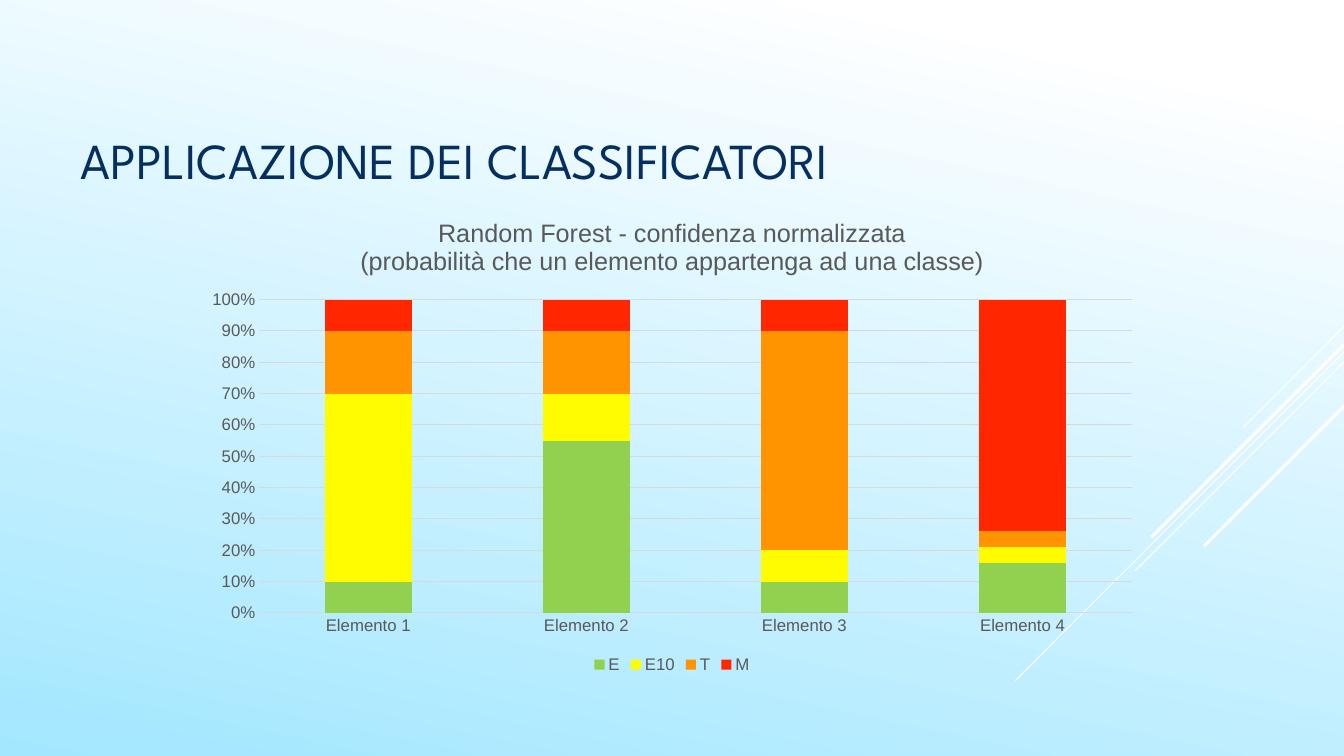
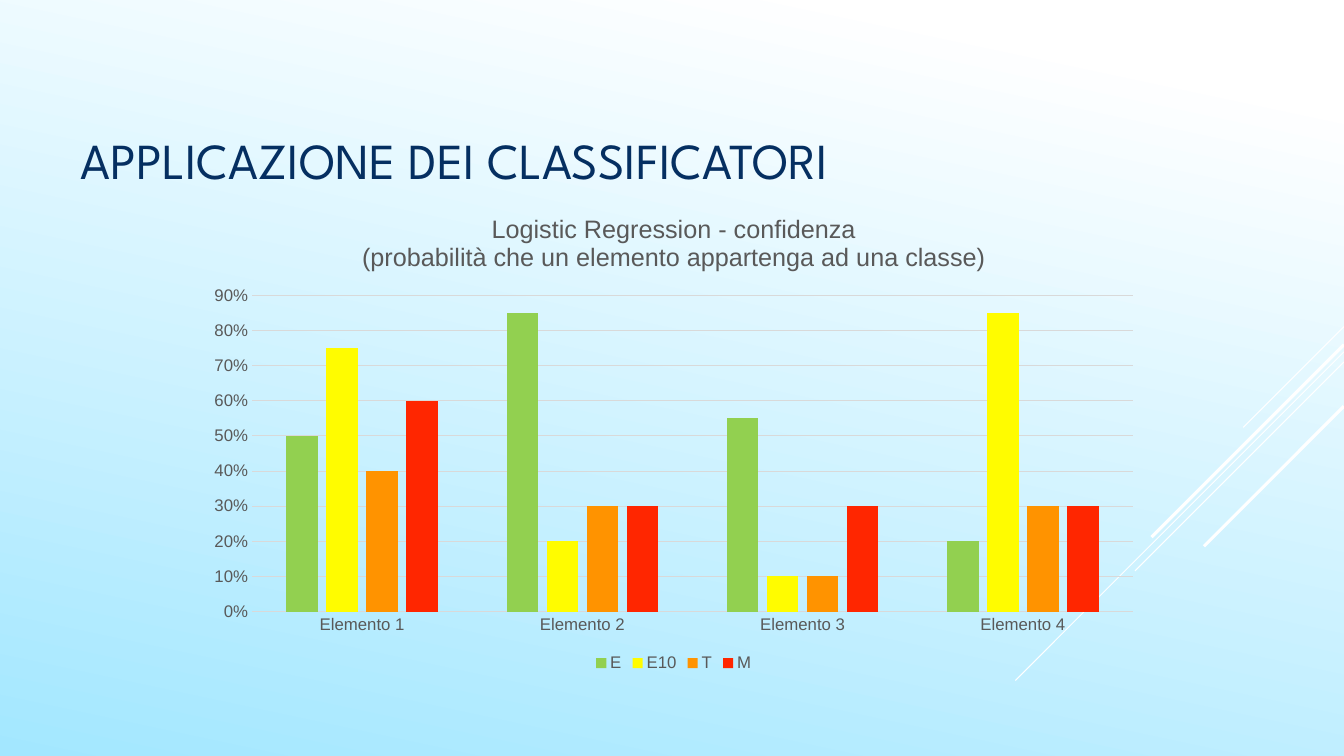
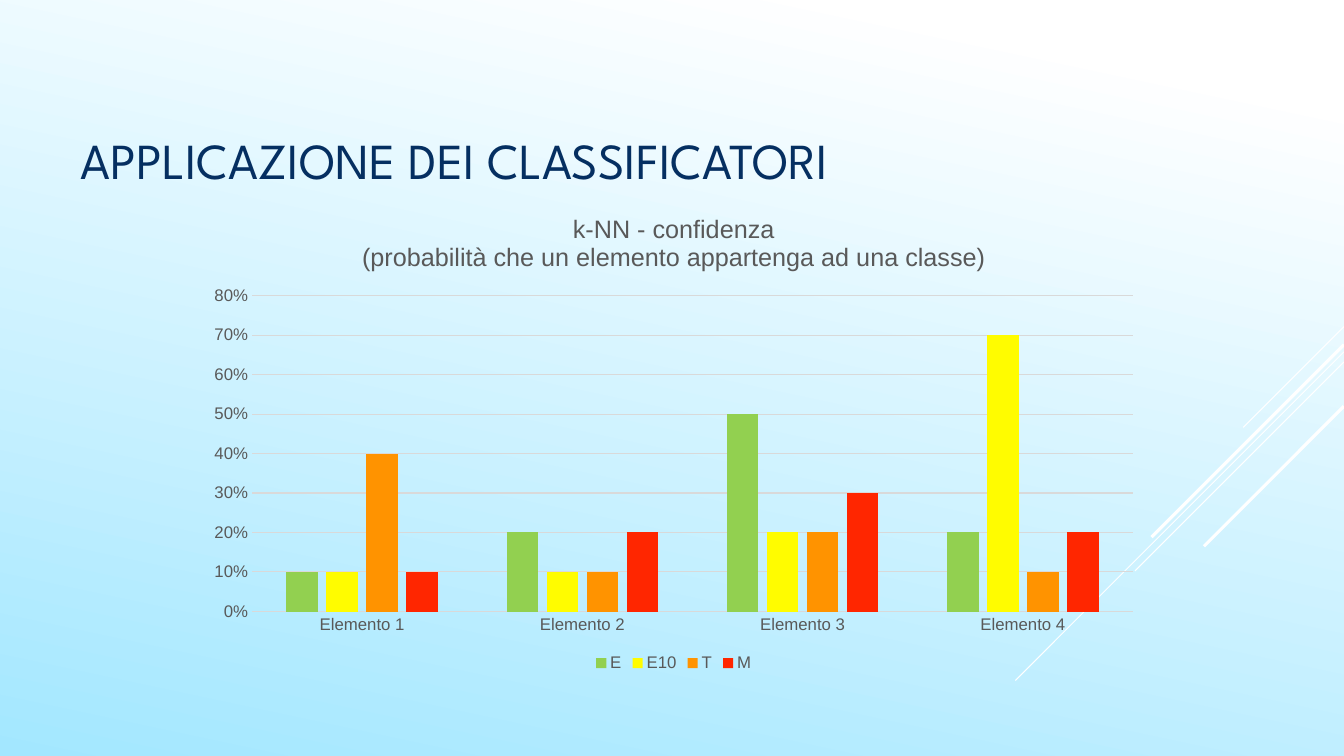
from lxml import etree
from pptx import Presentation
from pptx.chart.data import CategoryChartData
from pptx.dml.color import RGBColor
from pptx.enum.chart import XL_CHART_TYPE as ChartType, XL_LEGEND_POSITION as LegendPos, XL_TICK_MARK as Tick
from pptx.enum.shapes import MSO_CONNECTOR as Connector
from pptx.enum.text import MSO_ANCHOR as Anchor, MSO_AUTO_SIZE as AutoSize, PP_ALIGN as Align
from pptx.oxml.ns import qn
from pptx.util import Pt

WHITE = RGBColor(0xFF, 0xFF, 0xFF)
SKY = RGBColor(0xA3, 0xE7, 0xFF)
NAVY = RGBColor(0x05, 0x2F, 0x61)
GREY = RGBColor(0x59, 0x59, 0x59)
GRID = RGBColor(0xD9, 0xD9, 0xD9)
CLASS_COLORS = {
    "E": RGBColor(0x92, 0xD0, 0x50),
    "E10": RGBColor(0xFF, 0xFC, 0x00),
    "T": RGBColor(0xFF, 0x93, 0x00),
    "M": RGBColor(0xFF, 0x26, 0x00),
}

SLIDE_W, SLIDE_H = 960, 540
HEADING = "APPLICAZIONE DEI CLASSIFICATORI"
SUBTITLE = "(probabilità che un elemento appartenga ad una classe)"
ELEMENTS = [f"Elemento {n}" for n in range(1, 5)]

STACKED = dict(kind=ChartType.COLUMN_STACKED_100, box=(138, 142.5, 684, 341.5),
               gap=150, overlap=100, number_format="General")
CLUSTERED = dict(kind=ChartType.COLUMN_CLUSTERED, box=(139.5, 139.5, 683.5, 343.5),
                 gap=219, overlap=-27, number_format="0%")

CLASSIFIERS = [
    ("Random Forest - confidenza normalizzata", STACKED, {
        "E": (10, 55, 10, 16),
        "E10": (60, 15, 10, 5),
        "T": (20, 20, 70, 5),
        "M": (10, 10, 10, 74),
    }),
    ("Logistic Regression - confidenza", CLUSTERED, {
        "E": (0.5, 0.85, 0.55, 0.2),
        "E10": (0.75, 0.2, 0.1, 0.85),
        "T": (0.4, 0.3, 0.1, 0.3),
        "M": (0.6, 0.3, 0.3, 0.3),
    }),
    ("k-NN - confidenza", CLUSTERED, {
        "E": (0.1, 0.2, 0.5, 0.2),
        "E10": (0.1, 0.1, 0.2, 0.7),
        "T": (0.4, 0.1, 0.2, 0.1),
        "M": (0.1, 0.2, 0.3, 0.2),
    }),
]

# start height on the right edge, diagonal run, weight
RAYS = [(233.3, 72, 0.75), (251.3, 234.7, 0.75), (258.5, 149.3, 0.75),
        (246.2, 137.5, 2.25), (290.2, 100, 2.25)]


def style_background(master):
    fill = master.background.fill
    fill.gradient()
    fill.gradient_angle = 258
    for stop, position, color in zip(fill.gradient_stops, (0.1, 1), (WHITE, SKY)):
        stop.position = position
        stop.color.rgb = color


def style_layout_title(title):
    title.left, title.top, title.width, title.height = Pt(54), Pt(54), Pt(672), Pt(119)
    frame = title.text_frame
    frame.vertical_anchor = Anchor.MIDDLE
    frame.auto_size = AutoSize.NONE
    frame.margin_left = frame.margin_right = Pt(3.6)
    frame.margin_top = frame.margin_bottom = Pt(3.6)


def move_rays_to_layout(slide, layout):
    for number, (top, run, weight) in enumerate(RAYS):
        ray = slide.shapes.add_connector(Connector.STRAIGHT, Pt(SLIDE_W), Pt(top),
                                         Pt(SLIDE_W - run), Pt(top + run))
        ray.line.color.rgb = WHITE
        ray.line.width = Pt(weight)
        etree.SubElement(ray.element.spPr, qn("a:effectLst"))
        ray.element.nvCxnSpPr.cNvPr.set("id", str(100 + number))
        layout.shapes.element.append(ray.element)


def add_heading(slide):
    slide.shapes.title.text_frame.text = HEADING
    paragraph = slide.shapes.title.text_frame.paragraphs[0]
    paragraph.alignment = Align.LEFT
    font = paragraph.font
    font.name, font.size, font.color.rgb = "League Spartan", Pt(36), NAVY


def add_confidence_chart(slide, name, style, confidences):
    data = CategoryChartData(number_format=style["number_format"])
    data.categories = ELEMENTS
    for label, values in confidences.items():
        data.add_series(label, values)
    chart = slide.shapes.add_chart(style["kind"], *map(Pt, style["box"]), data).chart
    chart.font.name, chart.font.size, chart.font.color.rgb = "Arial", Pt(12), GREY

    caption = chart.chart_title.text_frame
    caption.text = f"{name}\n{SUBTITLE}"
    for paragraph in caption.paragraphs:
        font = paragraph.font
        font.name, font.size, font.bold, font.color.rgb = "Arial", Pt(18), False, GREY

    chart.has_legend = True
    chart.legend.position = LegendPos.BOTTOM
    chart.legend.include_in_layout = False

    plot = chart.plots[0]
    plot.gap_width, plot.overlap = style["gap"], style["overlap"]
    plot.vary_by_categories = False
    for series in plot.series:
        series.format.fill.solid()
        series.format.fill.fore_color.rgb = CLASS_COLORS[series.name]

    for axis in (chart.category_axis, chart.value_axis):
        axis.major_tick_mark = axis.minor_tick_mark = Tick.NONE
    scale = chart.value_axis
    scale.minimum_scale = 0
    scale.tick_labels.number_format = "0%"
    scale.tick_labels.number_format_is_linked = False
    scale.format.line.fill.background()
    for line in (chart.category_axis.format.line, scale.major_gridlines.format.line):
        line.color.rgb = GRID
        line.width = Pt(0.75)


def main():
    deck = Presentation()
    deck.slide_width, deck.slide_height = Pt(SLIDE_W), Pt(SLIDE_H)
    layout = deck.slide_layouts.get_by_name("Title Only")
    style_background(deck.slide_master)
    style_layout_title(layout.placeholders[0])
    for name, style, confidences in CLASSIFIERS:
        slide = deck.slides.add_slide(layout)
        add_heading(slide)
        add_confidence_chart(slide, name, style, confidences)
    move_rays_to_layout(deck.slides[0], layout)
    deck.save("out.pptx")


if __name__ == "__main__":
    main()
